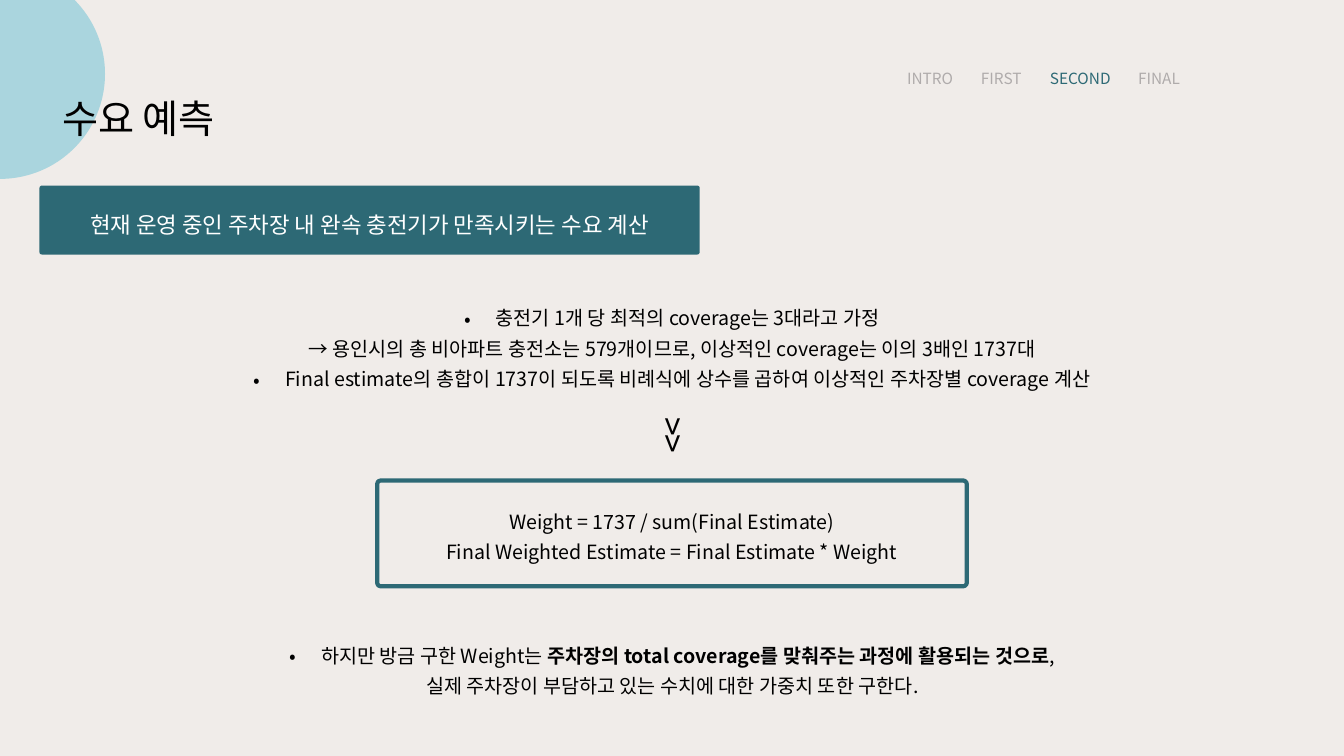
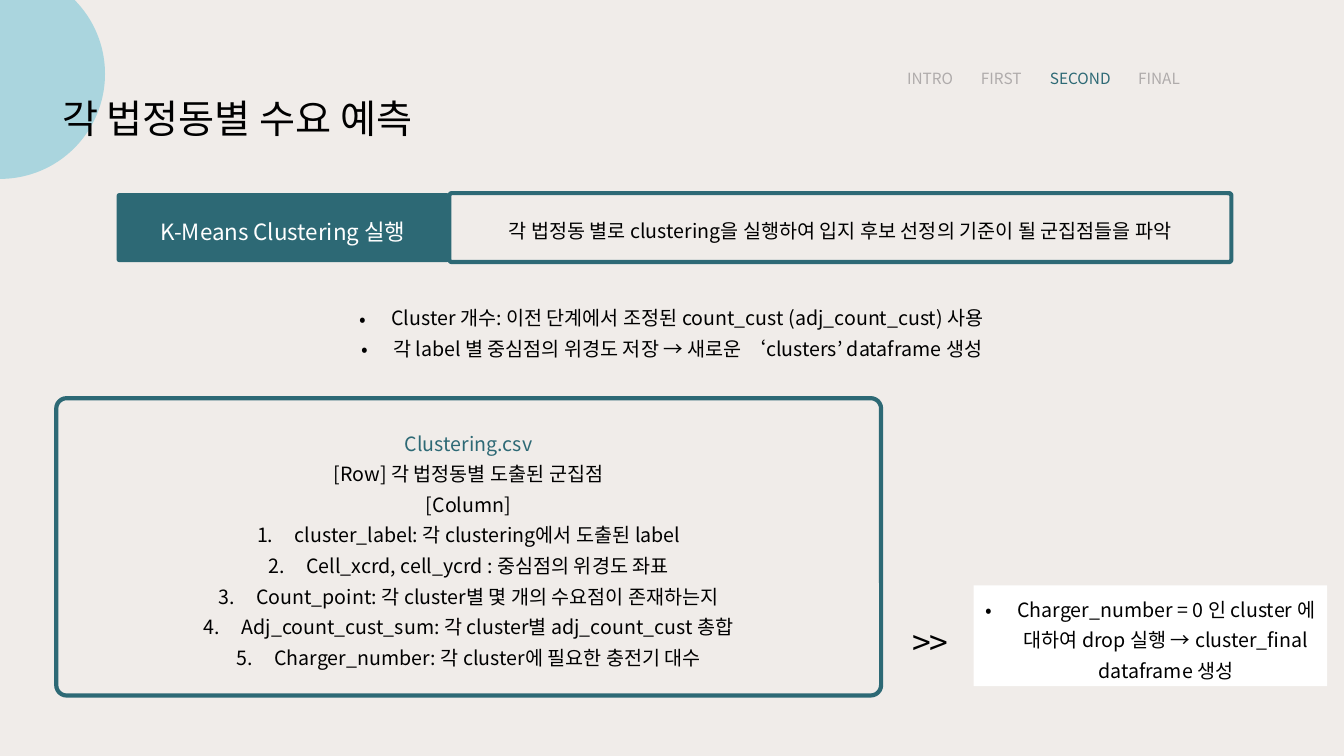
from dataclasses import dataclass
from typing import NamedTuple

from lxml import etree
from pptx import Presentation
from pptx.dml.color import RGBColor
from pptx.enum.shapes import MSO_SHAPE
from pptx.enum.text import MSO_ANCHOR, MSO_AUTO_SIZE, PP_ALIGN
from pptx.oxml.ns import qn
from pptx.util import Inches, Pt

OVAL, RECTANGLE, ROUNDED = MSO_SHAPE.OVAL, MSO_SHAPE.RECTANGLE, MSO_SHAPE.ROUNDED_RECTANGLE
TOP, MIDDLE = MSO_ANCHOR.TOP, MSO_ANCHOR.MIDDLE
LEFT, CENTER = PP_ALIGN.LEFT, PP_ALIGN.CENTER
FIXED = MSO_AUTO_SIZE.NONE

COLORS = {
    "paper": "F0ECE9",
    "sky": "AAD5DE",
    "teal": "2D6975",
    "gray": "AFABAB",
    "black": "000000",
    "white": "FFFFFF",
}
FONT = "Noto Sans CJK KR"
LINE_SPACING = 1.3
CORNER = 0.035
COLUMNS, ROWS = 160, 90
CELL = Inches(1) / 12
SECTIONS = ("INTRO", "FIRST", "SECOND", "FINAL")
SECTION_TABS = (8.8, 17, 27.5)
TITLE_ONLY = 5


class Area(NamedTuple):
    """Left, top, width and height in grid cells."""
    column: float
    row: float
    columns: float
    rows: float


class Marker(NamedTuple):
    tag: str
    attributes: dict
    indent: float


BULLET = Marker("a:buChar", {"char": "•"}, 3.75)
NUMBER = Marker("a:buAutoNum", {"type": "arabicPeriod"}, 4.5)


@dataclass(frozen=True)
class Span:
    text: str
    color: str | None = None
    bold: bool = False


@dataclass(frozen=True)
class Para:
    spans: tuple[Span, ...]
    marker: Marker | None = None
    tabs: tuple[float, ...] = ()


def line(text: str, marker: Marker | None = None, color: str | None = None) -> Para:
    return Para((Span(text, color),), marker)


CIRCLE = Area(-12.5, -3.7, 25, 25)
TITLE = Area(6.2, 9, 96, 8.2)
NAVIGATION = Area(106.8, 7, 44, 4)


def cells(count: float) -> int:
    return round(count * CELL)


def place(area: Area) -> tuple[int, ...]:
    return tuple(cells(count) for count in area)


def rgb(name: str) -> RGBColor:
    return RGBColor.from_string(COLORS[name])


def mark(para, marker: Marker) -> None:
    """Give a paragraph a hanging bullet or number."""
    properties = para._p.get_or_add_pPr()
    properties.set("marL", str(cells(marker.indent)))
    properties.set("indent", str(-cells(marker.indent)))
    etree.SubElement(properties, qn("a:buFont")).set("typeface", FONT)
    etree.SubElement(properties, qn(marker.tag), marker.attributes)


def set_tabs(para, tabs: tuple[float, ...]) -> None:
    stops = etree.SubElement(para._p.get_or_add_pPr(), qn("a:tabLst"))
    for position in tabs:
        etree.SubElement(stops, qn("a:tab"), {"pos": str(cells(position)), "algn": "l"})


def write(shape, paras: list[Para], *, size: float = 14, color: str = "black",
          align=CENTER, anchor=TOP, tracking: float = 0) -> None:
    frame = shape.text_frame
    frame.word_wrap = True
    frame.auto_size = FIXED
    frame.vertical_anchor = anchor
    for index, content in enumerate(paras):
        para = frame.add_paragraph() if index else frame.paragraphs[0]
        para.alignment = align
        para.line_spacing = LINE_SPACING
        if content.marker:
            mark(para, content.marker)
        if content.tabs:
            set_tabs(para, content.tabs)
        for span in content.spans:
            run = para.add_run()
            run.text = span.text
            run.font.size = Pt(size)
            run.font.bold = span.bold
            run.font.name = FONT
            run.font.color.rgb = rgb(span.color or color)
            properties = run.font._element
            etree.SubElement(properties, qn("a:ea")).set("typeface", FONT)
            if tracking:
                properties.set("spc", str(round(tracking * 100)))


def add_text(slide, area: Area, paras: list[Para], **text_format):
    box = slide.shapes.add_textbox(*place(area))
    write(box, paras, **text_format)
    return box


def add_panel(slide, area: Area, kind=ROUNDED, *, fill: str | None = None,
              outline: str | None = None):
    panel = slide.shapes.add_shape(kind, *place(area))
    panel.shadow.inherit = False
    if kind == ROUNDED:
        panel.adjustments[0] = CORNER
    if fill:
        panel.fill.solid()
        panel.fill.fore_color.rgb = rgb(fill)
    else:
        panel.fill.background()
    if outline:
        panel.line.color.rgb = rgb(outline)
        panel.line.width = Pt(3)
    else:
        panel.line.fill.background()
    return panel


def add_banner(slide, area: Area, text: str) -> None:
    banner = add_panel(slide, area, fill="teal")
    write(banner, [line(text)], size=16, color="white", anchor=MIDDLE)


def add_frame(slide, area: Area, paras: list[Para]) -> None:
    write(add_panel(slide, area, outline="teal"), paras, anchor=MIDDLE)


def add_chevrons(slide, column: float, row: float, rotation: float = 0) -> None:
    box = add_text(slide, Area(column, row, 11.4, 7.2), [line(">>")],
                   size=24, anchor=MIDDLE, tracking=-1)
    box.rotation = rotation


def add_page(deck, title: str, section: str):
    """Add a slide with the corner circle, title and section navigation."""
    slide = deck.slides.add_slide(deck.slide_layouts[TITLE_ONLY])
    heading = slide.shapes.title
    heading.left, heading.top, heading.width, heading.height = place(TITLE)
    write(heading, [line(title)], size=28, align=LEFT)
    circle = add_panel(slide, CIRCLE, OVAL, fill="sky")
    heading.element.addprevious(circle.element)
    names = tuple(
        Span(("\t" if index else "") + name, "teal" if name == section else "gray")
        for index, name in enumerate(SECTIONS)
    )
    add_text(slide, NAVIGATION, [Para(names, tabs=SECTION_TABS)], size=11, align=LEFT)
    return slide


def add_demand_page(deck) -> None:
    slide = add_page(deck, "수요 예측", "SECOND")
    add_banner(slide, Area(4.7, 22.1, 78.6, 8.2),
               "현재 운영 중인 주차장 내 완속 충전기가 만족시키는 수요 계산")
    add_text(slide, Area(10.3, 35, 139.4, 12), [
        line("충전기 1개 당 최적의 coverage는 3대라고 가정", BULLET),
        line("→ 용인시의 총 비아파트 충전소는 579개이므로, 이상적인 coverage는 이의 3배인 1737대"),
        line("Final estimate의 총합이 1737이 되도록 비례식에 상수를 곱하여 "
             "이상적인 주차장별 coverage 계산", BULLET),
    ])
    add_frame(slide, Area(44.9, 57.2, 70.2, 12.6), [
        line("Weight = 1737 / sum(Final Estimate)"),
        line("Final Weighted Estimate = Final Estimate * Weight"),
    ])
    add_chevrons(slide, 75.2, 48.2, rotation=90)
    add_text(slide, Area(29.3, 75.2, 101.5, 8.2), [
        Para((Span("하지만 방금 구한 Weight는 "),
              Span("주차장의 total coverage를 맞춰주는 과정에 활용되는 것으로", bold=True),
              Span(",")), BULLET),
        line("실제 주차장이 부담하고 있는 수치에 대한 가중치 또한 구한다."),
    ])


def add_clustering_page(deck) -> None:
    slide = add_page(deck, "각 법정동별 수요 예측", "SECOND")
    add_banner(slide, Area(13.9, 23, 39.6, 8.2), "K-Means Clustering 실행")
    add_frame(slide, Area(53.5, 23, 93.1, 8.2), [
        line("각 법정동 별로 clustering을 실행하여 입지 후보 선정의 기준이 될 군집점들을 파악"),
    ])
    add_text(slide, Area(10.3, 35, 139.4, 8.4), [
        line("Cluster 개수: 이전 단계에서 조정된 count_cust (adj_count_cust) 사용", BULLET),
        line("각 label 별 중심점의 위경도 저장 → 새로운 ‘clusters’ dataframe 생성", BULLET),
    ])
    fields = (
        "cluster_label: 각 clustering에서 도출된 label",
        "Cell_xcrd, cell_ycrd : 중심점의 위경도 좌표",
        "Count_point: 각 cluster별 몇 개의 수요점이 존재하는지",
        "Adj_count_cust_sum: 각 cluster별 adj_count_cust 총합",
        "Charger_number: 각 cluster에 필요한 충전기 대수",
    )
    add_frame(slide, Area(6.7, 47.4, 98.2, 35.4), [
        line("Clustering.csv", color="teal"),
        line("[Row] 각 법정동별 도출된 군집점"),
        line("[Column]"),
        *(line(field, NUMBER) for field in fields),
    ])
    note = add_panel(slide, Area(115.9, 69.7, 42.1, 12), RECTANGLE, fill="white")
    write(note, [line("Charger_number = 0 인 cluster 에 대하여 drop 실행 → "
                      "cluster_final dataframe 생성", BULLET)])
    add_chevrons(slide, 105.1, 72.1)


def main() -> None:
    deck = Presentation()
    deck.slide_width, deck.slide_height = cells(COLUMNS), cells(ROWS)
    background = deck.slide_master.background.fill
    background.solid()
    background.fore_color.rgb = rgb("paper")
    add_demand_page(deck)
    add_clustering_page(deck)
    deck.save("out.pptx")


if __name__ == "__main__":
    main()
